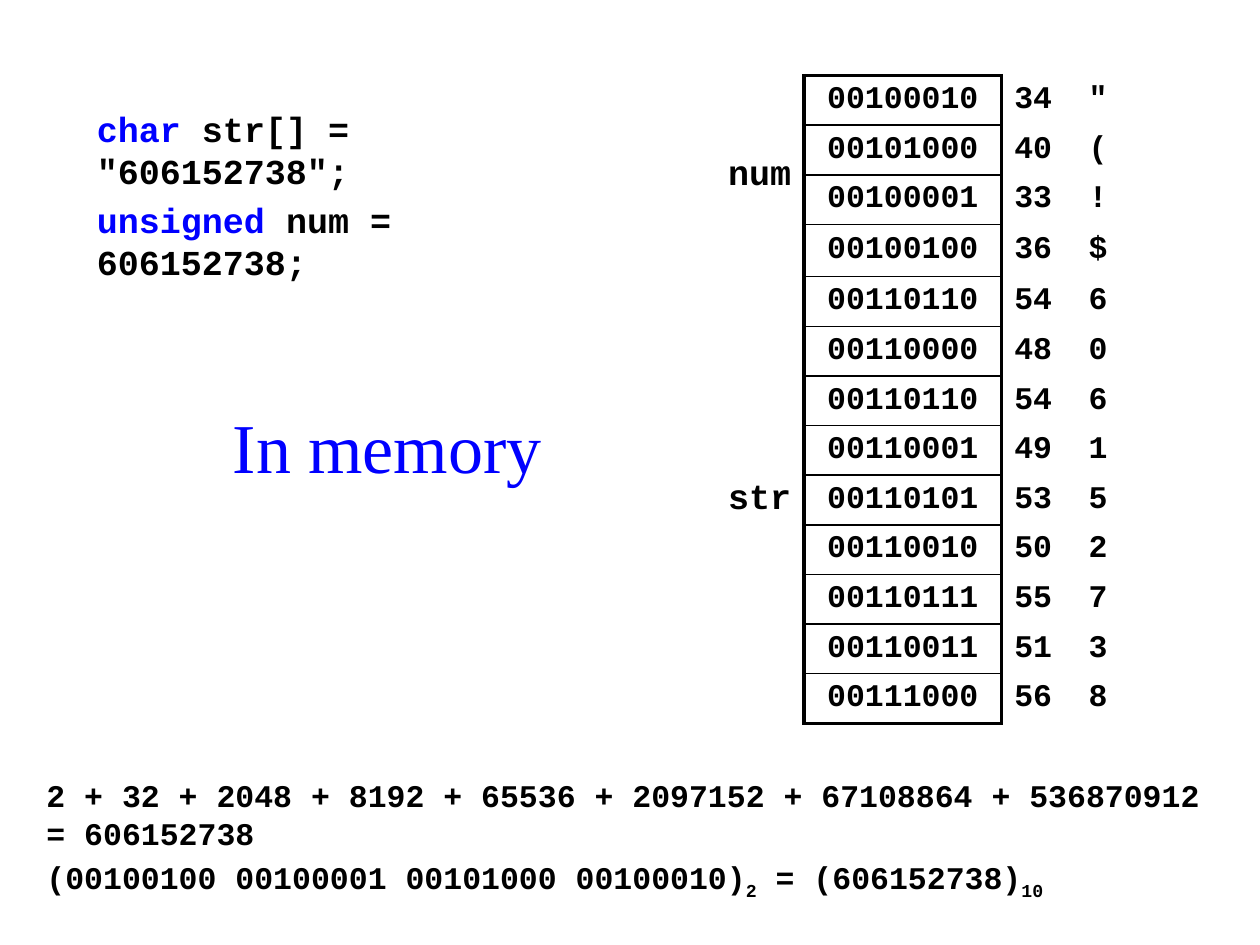
import pptx
import pptx.dml.color
import pptx.enum.text
import pptx.oxml
import pptx.oxml.ns
import pptx.util
from pptx.util import Inches

COLORS = {"text": "000000", "accent": "0000FF"}
CODE_FONT = "Courier New"
TITLE_FONT = "Times New Roman"
NO_STYLE_NO_GRID = "{2D5ABB26-0587-4C30-8999-92F81FD0307C}"
OUTER, INNER = 2.25, 1
ALIGN = pptx.enum.text.PP_ALIGN
MIDDLE = pptx.enum.text.MSO_ANCHOR.MIDDLE

# Memory bytes, lowest address first, and the variables that occupy them
MEMORY = [34, 40, 33, 36, 54, 48, 54, 49, 53, 50, 55, 51, 56]
VARIABLES = [("num", 0, 4), ("str", 4, 9)]


def set_font(font, size, color="text", name=CODE_FONT, bold=True):
    font.name = name
    font.size = pptx.util.Pt(size)
    font.bold = bold
    font.color.rgb = pptx.dml.color.RGBColor.from_string(COLORS[color])


def add_text_box(slide, left, top, width, height):
    box = slide.shapes.add_textbox(left, top, width, height)
    box.text_frame.word_wrap = True
    return box.text_frame


def add_paragraphs(text_frame, count, size):
    """Return count paragraphs, each preceded by a fifth of its text size."""
    paragraphs = [text_frame.paragraphs[0]]
    paragraphs += [text_frame.add_paragraph() for _ in range(count - 1)]
    for paragraph in paragraphs:
        paragraph.space_before = pptx.util.Pt(size * 0.2)
        set_font(paragraph.font, size)
    return paragraphs


def set_borders(cell, **widths):
    properties = cell._tc.get_or_add_tcPr()
    position = 0
    for side in ("L", "R", "T", "B"):
        if side not in widths:
            continue
        line = pptx.oxml.parse_xml(
            f'<a:ln{side} {pptx.oxml.ns.nsdecls("a")} w="{pptx.util.Pt(widths[side])}">'
            f'<a:solidFill><a:srgbClr val="{COLORS["text"]}"/></a:solidFill></a:ln{side}>')
        properties.insert(position, line)
        position += 1


def fill_cell(cell, text, size, align, margin):
    cell.text = text
    cell.vertical_anchor = MIDDLE
    cell.margin_left = cell.margin_right = Inches(0.1)
    cell.margin_top = cell.margin_bottom = Inches(margin)
    cell.fill.background()
    paragraph = cell.text_frame.paragraphs[0]
    paragraph.alignment = align
    set_font(paragraph.font, size)


def add_memory_table(slide, left, top, width, height):
    row_count = len(MEMORY)
    table = slide.shapes.add_table(row_count, 4, left, top, width, height).table
    table.first_row = table.horz_banding = False
    table._tbl.tblPr.find(pptx.oxml.ns.qn("a:tableStyleId")).text = NO_STYLE_NO_GRID
    for column, share in zip(table.columns, (0.79, 1.57, 0.59, 0.39)):
        column.width = Inches(share)

    # Binary, decimal and character value of every byte
    for row, value in enumerate(MEMORY):
        texts = (f"{value:08b}", str(value), chr(value))
        for column, text in enumerate(texts, start=1):
            align = ALIGN.CENTER if column == 1 else ALIGN.LEFT
            fill_cell(table.cell(row, column), text, 18, align, 0.04)
        set_borders(table.cell(row, 1), L=OUTER, R=OUTER,
                    T=OUTER if row == 0 else INNER,
                    B=OUTER if row == row_count - 1 else INNER)

    # Variable names beside their bytes
    for name, first, length in VARIABLES:
        cell = table.cell(first, 0)
        cell.merge(table.cell(first + length - 1, 0))
        fill_cell(cell, name, 20, ALIGN.RIGHT, 0.05)
        for row in range(first, first + length):
            set_borders(table.cell(row, 0), R=OUTER)


def add_declarations(slide, left, top, width, height):
    text_frame = add_text_box(slide, left, top, width, height)
    declarations = [("char", ' str[] = "606152738";'), ("unsigned", " num = 606152738;")]
    paragraphs = add_paragraphs(text_frame, len(declarations), 20)
    for paragraph, (keyword, rest) in zip(paragraphs, declarations):
        for text, color in ((keyword, "accent"), (rest, "text")):
            run = paragraph.add_run()
            run.text = text
            set_font(run.font, 20, color)


def add_title(slide, left, top, width, height):
    text_frame = add_text_box(slide, left, top, width, height)
    text_frame.vertical_anchor = MIDDLE
    paragraph = text_frame.paragraphs[0]
    paragraph.text = "In memory"
    set_font(paragraph.font, 40, "accent", TITLE_FONT, bold=False)


def add_conversion(slide, left, top, width, height):
    text_frame = add_text_box(slide, left, top, width, height)
    powers, bases = add_paragraphs(text_frame, 2, 18)
    powers.text = ("2 + 32 + 2048 + 8192 + 65536 + 2097152 + 67108864 + 536870912"
                   " = 606152738")
    # Each number is followed by its base as a subscript
    for number, base in (("(00100100 00100001 00101000 00100010)", "2"),
                         (" = (606152738)", "10")):
        bases.add_run().text = number
        subscript = bases.add_run()
        subscript.text = base
        subscript.font._element.set("baseline", "-25000")


def main():
    presentation = pptx.Presentation()
    presentation.slide_width = Inches(10)
    presentation.slide_height = Inches(7.5)
    slide = presentation.slides.add_slide(presentation.slide_layouts[6])
    add_memory_table(slide, Inches(5.59), Inches(0.6), Inches(3.34), Inches(5.12))
    add_conversion(slide, Inches(0.27), Inches(6.11), Inches(9.45), Inches(1.18))
    add_declarations(slide, Inches(0.67), Inches(0.8), Inches(4.33), Inches(0.79))
    add_title(slide, Inches(1.75), Inches(3.1), Inches(2.81), Inches(0.87))
    presentation.save("out.pptx")


if __name__ == "__main__":
    main()
